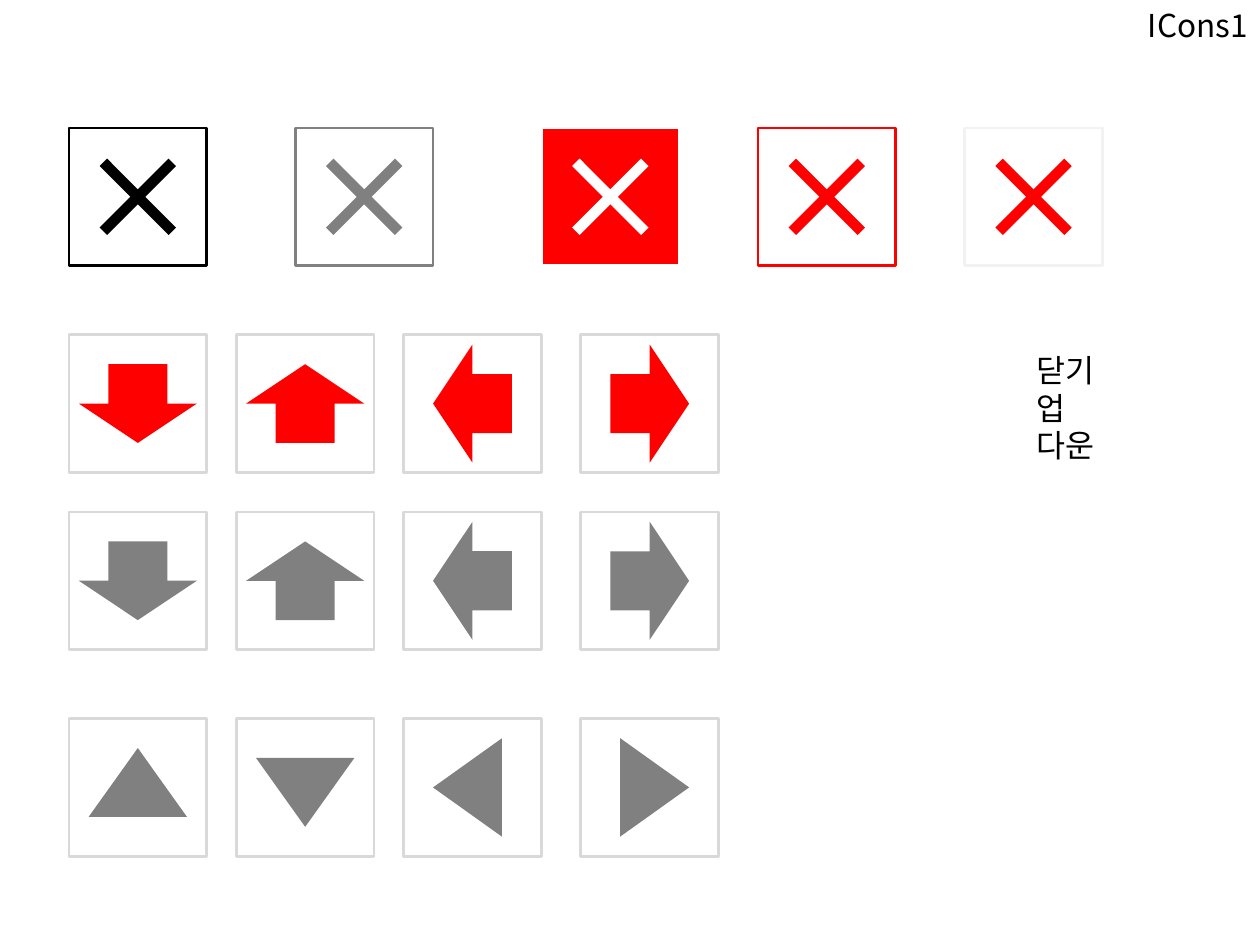
from dataclasses import dataclass

from lxml.etree import SubElement
from pptx import Presentation
from pptx.dml.color import RGBColor
from pptx.enum.shapes import MSO_CONNECTOR as Link, MSO_SHAPE as Kind
from pptx.enum.text import MSO_AUTO_SIZE as Fit, PP_ALIGN as Align
from pptx.oxml.ns import qn
from pptx.util import Pt

FONT = "Noto Sans CJK KR"
BLACK, WHITE, RED = "000000", "FFFFFF", "FF0000"
GRAY, SILVER, PALE = "808080", "D9D9D9", "F2F2F2"
SIDE = 78.75  # frame side
ARM = 19.7  # half width of a cross


@dataclass(frozen=True)
class Cross:
    left: float
    edge: str
    ink: str
    fill: str = WHITE


@dataclass(frozen=True)
class Way:
    """Direction in which a mark points."""
    dx: int
    dy: int
    turn: int  # clockwise from up


@dataclass(frozen=True)
class Row:
    top: float
    kind: Kind
    ink: str
    wide: float
    high: float
    ways: tuple
    base: int = 0  # turn that makes the preset point up
    shift: float = 0  # offset along the direction


UP, DOWN = Way(0, -1, 0), Way(0, 1, 180)
LEFT, RIGHT = Way(-1, 0, 270), Way(1, 0, 90)

CROSS_TOP = 73.1
CROSSES = (
    Cross(39.4, BLACK, BLACK),
    Cross(168.75, GRAY, GRAY),
    Cross(309.4, WHITE, WHITE, RED),
    Cross(433.1, RED, RED),
    Cross(551.25, PALE, RED),
)
COLS = (39.4, 135, 230.6, 331.9)
ARROWS = (DOWN, UP, LEFT, RIGHT)
ROWS = (
    Row(191.25, Kind.DOWN_ARROW, RED, 67.5, 45, ARROWS, base=180),
    Row(292.5, Kind.DOWN_ARROW, GRAY, 67.5, 45, ARROWS, base=180),
    Row(410.6, Kind.ISOSCELES_TRIANGLE, GRAY, 56.25, 39.4,
        (UP, DOWN, LEFT, RIGHT), shift=2.8),
)


def tint(part, color: str) -> None:
    """Give a fill or a line one solid colour."""
    if hasattr(part, "solid"):
        part.solid()
        part.fore_color.rgb = RGBColor.from_string(color)
    else:
        tint(part.fill, color)


def add_form(slide, kind: Kind, left: float, top: float, wide: float,
             high: float, fill: str, edge: str = ""):
    form = slide.shapes.add_shape(kind, Pt(left), Pt(top), Pt(wide), Pt(high))
    form.shadow.inherit = False
    tint(form.fill, fill)
    if edge:
        tint(form.line, edge)
        form.line.width = Pt(1.5)
    else:
        form.line.fill.background()
    return form


def add_frame(slide, left: float, top: float, edge: str,
              fill: str = WHITE) -> None:
    add_form(slide, Kind.RECTANGLE, left, top, SIDE, SIDE, fill, edge)


def add_cross(slide, cross: Cross) -> None:
    add_frame(slide, cross.left, CROSS_TOP, cross.edge, cross.fill)
    x, y = cross.left + SIDE / 2, CROSS_TOP + SIDE / 2
    for arm in (ARM, -ARM):
        bar = slide.shapes.add_connector(
            Link.STRAIGHT, Pt(x - arm), Pt(y - ARM), Pt(x + arm), Pt(y + ARM))
        tint(bar.line, cross.ink)
        bar.line.width = Pt(6)
        SubElement(bar._element.spPr, qn("a:effectLst"))


def add_row(slide, row: Row) -> None:
    for left, way in zip(COLS, row.ways):
        add_frame(slide, left, row.top, SILVER)
        x = left + (SIDE - row.wide) / 2 + way.dx * row.shift
        y = row.top + (SIDE - row.high) / 2 + way.dy * row.shift
        mark = add_form(slide, row.kind, x, y, row.wide, row.high, row.ink)
        mark.rotation = (way.turn + row.base) % 360


def add_text(slide, text: str, *, left: float, top: float, wide: float,
             high: float, size: float = 18, color: str = BLACK,
             align: Align = Align.LEFT) -> None:
    box = slide.shapes.add_textbox(Pt(left), Pt(top), Pt(wide), Pt(high))
    frame = box.text_frame
    frame.word_wrap = True
    frame.auto_size = Fit.SHAPE_TO_FIT_TEXT
    frame.text = text
    for para in frame.paragraphs:
        para.alignment = align
        for run in para.runs:
            run.font.size = Pt(size)
            run.font.name = FONT
            tint(run.font.fill, color)
            # Hangul takes the East Asian font
            SubElement(run.font._element, qn("a:ea"), typeface=FONT)


def main() -> None:
    deck = Presentation()
    deck.slide_width, deck.slide_height = Pt(720), Pt(540)
    slide = deck.slides.add_slide(deck.slide_layouts[6])

    # Title and labels
    add_text(slide, "ICons1", left=573.75, top=0, wide=146.25, high=29,
             align=Align.RIGHT)
    add_text(slide, "닫기\n업\n다운", left=585.4, top=196.9, wide=106.5,
             high=94.3)

    # Close icons
    for cross in CROSSES:
        add_cross(slide, cross)

    # Arrow and triangle icons
    for row in ROWS:
        add_row(slide, row)

    deck.save("out.pptx")


if __name__ == "__main__":
    main()
